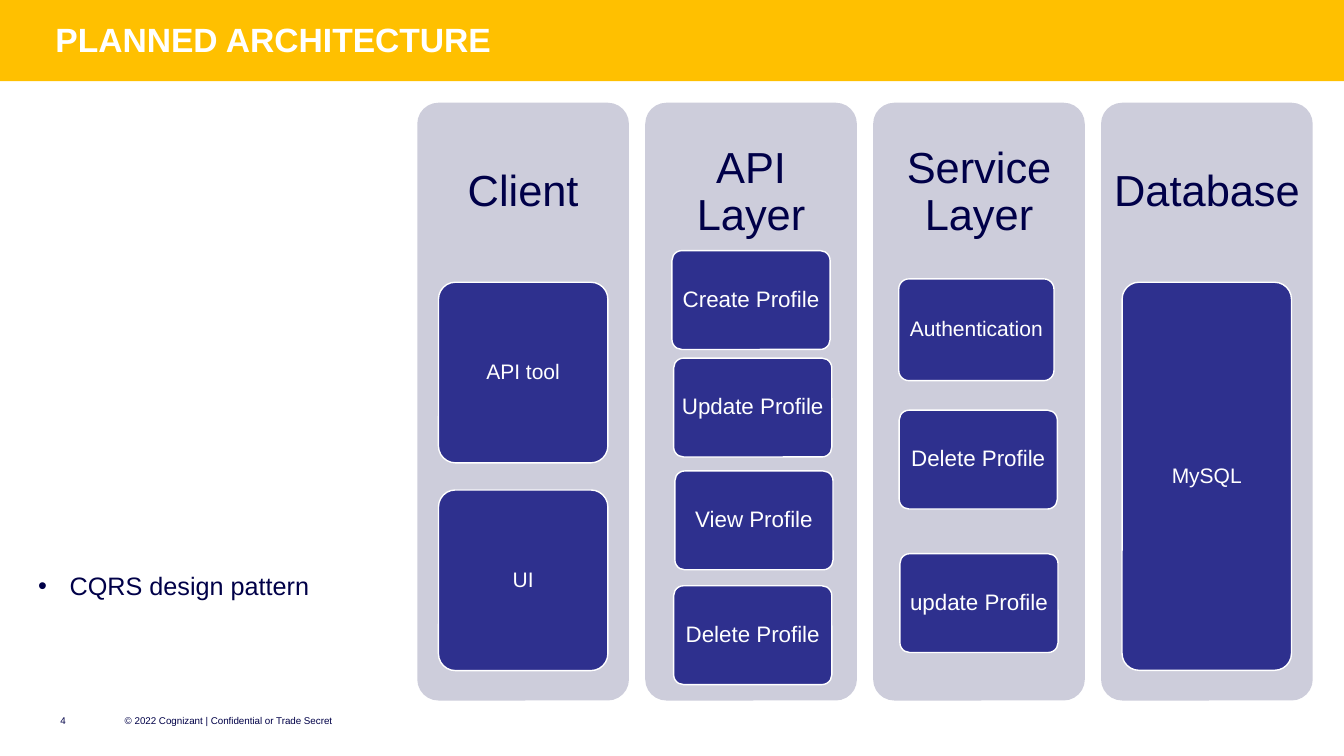
from pptx import Presentation
from pptx.dml.color import RGBColor
from pptx.enum.shapes import MSO_SHAPE
from pptx.enum.text import MSO_ANCHOR, PP_ALIGN
from pptx.oxml import parse_xml
from pptx.oxml.ns import nsdecls
from pptx.util import Pt

COLORS = {"banner": "FFC000", "panel": "CDCDDB", "box": "2E308E",
          "ink": "000048", "white": "FFFFFF"}

# Layer panels: even columns across the slide
PANEL_LEFT, PANEL_TOP, PANEL_PITCH = 298.1, 73.4, 162.8
PANEL_W, PANEL_H, HEADING_H = 151.2, 427, 128.2

# Box sizes: large, tall, authentication, profile
LARGE, TALL, AUTH, PROFILE = (121, 129), (121, 277.2), (110.9, 72.7), (113, 70.6)

# Each layer: heading, then boxes as (text, left, top, size, font size)
LAYERS = [
    ("Client", [("API tool", 313.2, 201.6, LARGE, 15),
                ("UI", 313.2, 350, LARGE, 15)]),
    ("API Layer", [("Create Profile", 480, 179, PROFILE, 16),
                   ("Update Profile", 481.2, 255.8, PROFILE, 16),
                   ("View Profile", 482.1, 336.4, PROFILE, 16),
                   ("Delete Profile", 481.2, 418.4, PROFILE, 16)]),
    ("Service Layer", [("Authentication", 642, 199.2, AUTH, 15),
                       ("Delete Profile", 642.3, 293, PROFILE, 16),
                       ("update Profile", 642.8, 395.5, PROFILE, 16)]),
    ("Database", [("MySQL", 801.5, 201.6, TALL, 15)]),
]


def color(name):
    return RGBColor.from_string(COLORS[name])


def write(shape, text, size, ink="ink", bold=False, align=PP_ALIGN.LEFT,
          anchor=MSO_ANCHOR.TOP, insets=(7.2, 3.6), spacing=1.0, bullet=False):
    tf = shape.text_frame
    across, down = insets
    frame = {"word_wrap": True, "vertical_anchor": anchor,
             "margin_left": Pt(across), "margin_right": Pt(across),
             "margin_top": Pt(down), "margin_bottom": Pt(down)}
    for name, value in frame.items():
        setattr(tf, name, value)
    p = tf.paragraphs[0]
    p.alignment, p.line_spacing = align, spacing
    if bullet:
        pPr = p._p.get_or_add_pPr()
        pPr.set("marL", str(Pt(22.5)))
        pPr.set("indent", str(-Pt(22.5)))
        pPr.append(parse_xml(f'<a:buFont {nsdecls("a")} typeface="Arial"/>'))
        pPr.append(parse_xml(f'<a:buChar {nsdecls("a")} char="•"/>'))
    r = p.add_run()
    r.text = text
    for name, value in {"name": "Arial", "size": Pt(size), "bold": bold}.items():
        setattr(r.font, name, value)
    r.font.color.rgb = color(ink)


def add_text(s, text, left, top, width, height, size, **style):
    tb = s.shapes.add_textbox(Pt(left), Pt(top), Pt(width), Pt(height))
    write(tb, text, size, **style)


def add_block(s, kind, fill, left, top, width, height, outlined=False):
    sp = s.shapes.add_shape(kind, Pt(left), Pt(top), Pt(width), Pt(height))
    sp.shadow.inherit = False
    sp.fill.solid()
    sp.fill.fore_color.rgb = color(fill)
    if kind == MSO_SHAPE.ROUNDED_RECTANGLE:
        sp.adjustments[0] = 0.1
    if outlined:
        sp.line.color.rgb = color("white")
        sp.line.width = Pt(1)
    else:
        sp.line.fill.background()
    return sp


def add_layer(s, left, heading, boxes):
    centred = {"align": PP_ALIGN.CENTER, "anchor": MSO_ANCHOR.MIDDLE, "spacing": 0.9}
    rounded = MSO_SHAPE.ROUNDED_RECTANGLE
    add_block(s, rounded, "panel", left, PANEL_TOP, PANEL_W, PANEL_H)
    add_text(s, heading, left, PANEL_TOP, PANEL_W, HEADING_H, 31,
             insets=(9, 9), **centred)
    for text, x, y, box_size, size in boxes:
        sp = add_block(s, rounded, "box", x, y, *box_size, outlined=True)
        write(sp, text, size, ink="white", insets=(2.8, 2), **centred)


def main():
    prs = Presentation()
    prs.slide_width, prs.slide_height = Pt(960), Pt(540)
    s = prs.slides.add_slide(prs.slide_layouts[6])

    # Title banner
    add_block(s, MSO_SHAPE.RECTANGLE, "banner", 0, 0, 960, 58)
    add_text(s, "PLANNED ARCHITECTURE", 39.6, 13.7, 880, 28.8, 24,
             ink="white", bold=True, insets=(0, 0))

    # Architecture layers
    for i, (heading, boxes) in enumerate(LAYERS):
        add_layer(s, PANEL_LEFT + i * PANEL_PITCH, heading, boxes)

    # Side note
    add_text(s, "CQRS design pattern", 20.2, 393.1, 232.6, 36, 18,
             spacing=1.5, bullet=True)

    # Footer
    add_text(s, "4", 36, 506.9, 28, 15, 7)
    add_text(s, "© 2022 Cognizant | Confidential or Trade Secret",
             82, 506.9, 170, 15, 7)

    prs.save("out.pptx")


if __name__ == "__main__":
    main()
